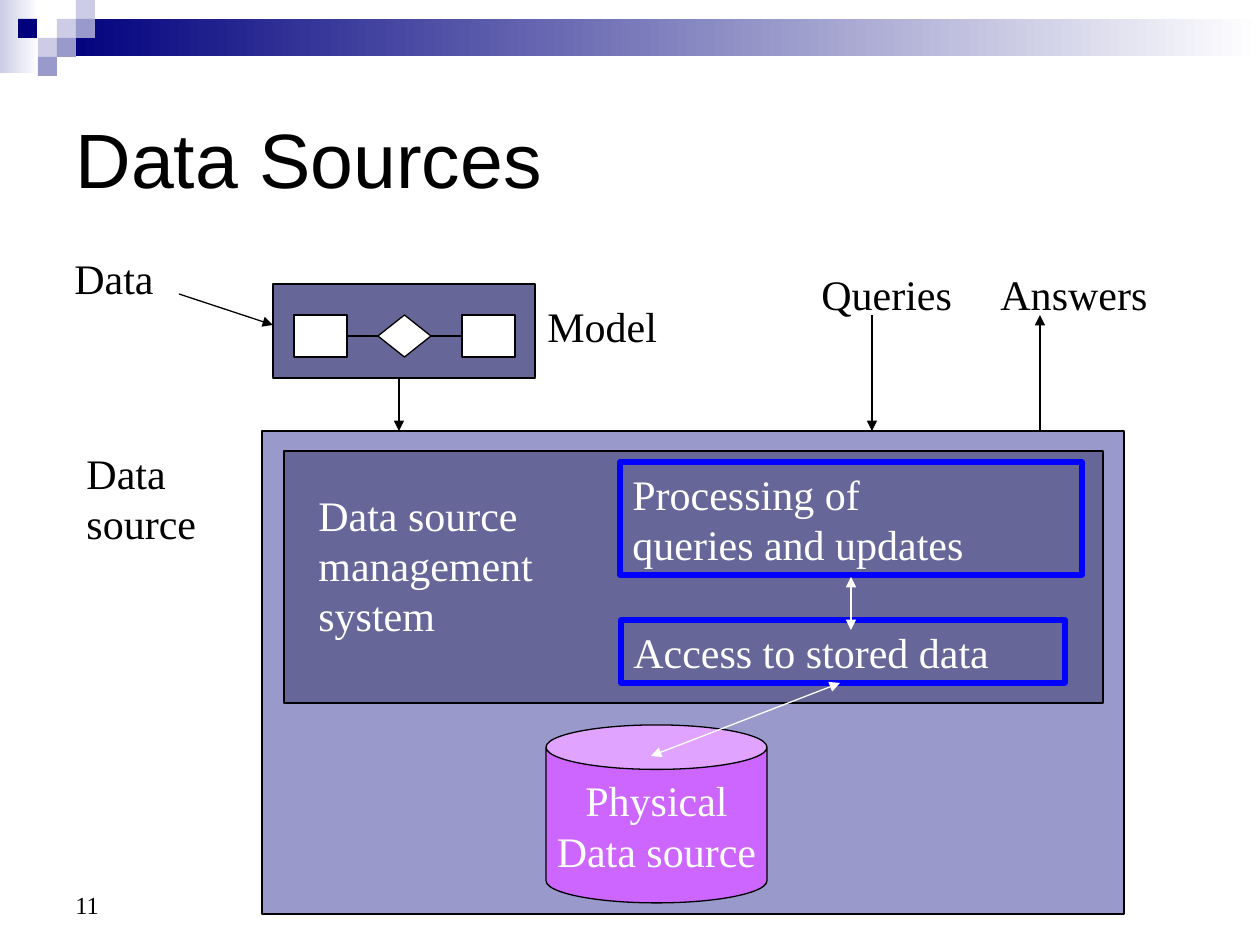
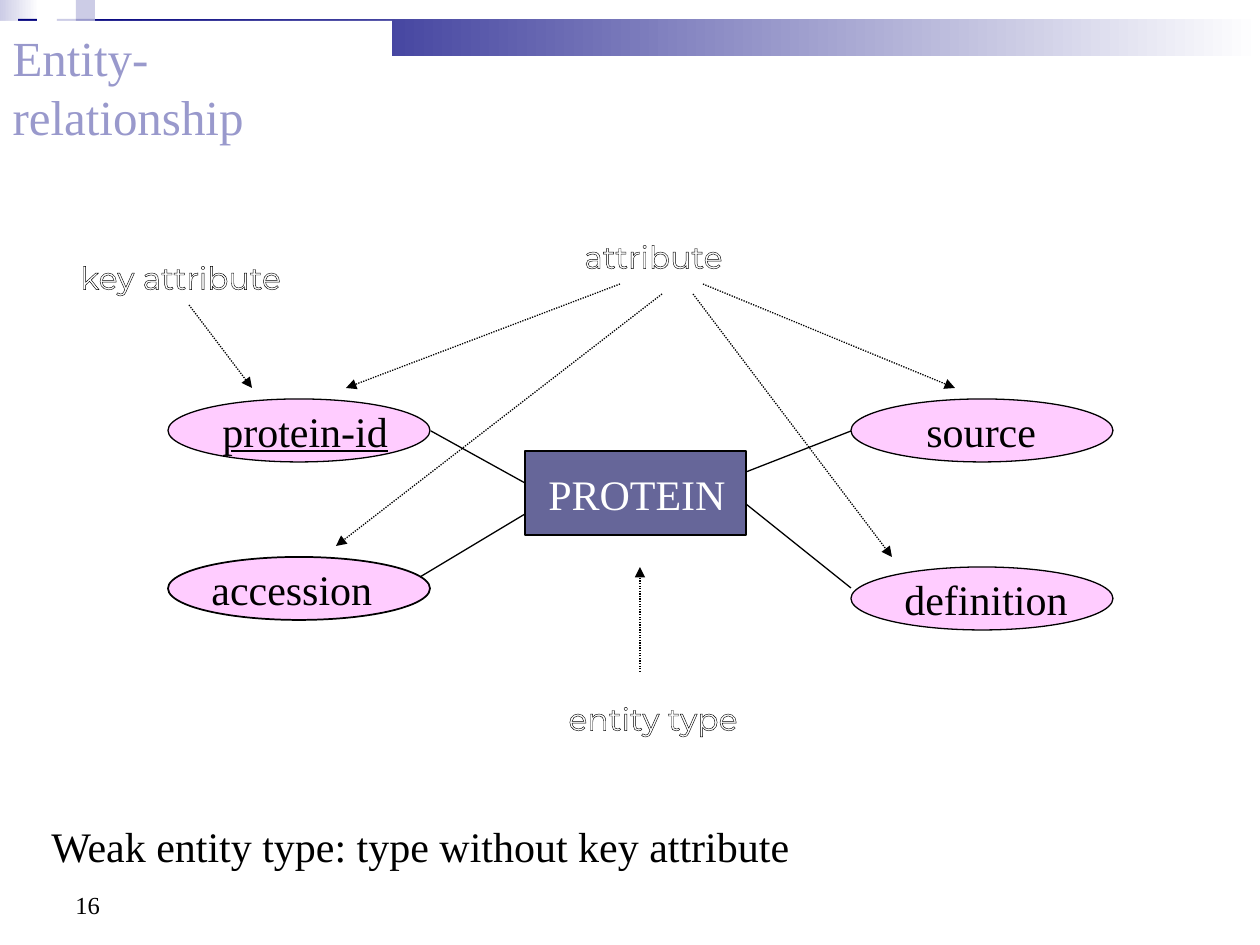
from pptx import Presentation
from pptx.dml.color import RGBColor
from pptx.enum.dml import MSO_LINE
from pptx.enum.shapes import MSO_CONNECTOR, MSO_SHAPE
from pptx.enum.text import MSO_ANCHOR, MSO_AUTO_SIZE, PP_ALIGN
from pptx.oxml.ns import qn
from pptx.util import Pt
from lxml.etree import SubElement

PX = 914400 / 126
WIDTH, HEIGHT = 1260, 945

BLACK = RGBColor(0x00, 0x00, 0x00)
WHITE = RGBColor(0xFF, 0xFF, 0xFF)
NAVY = RGBColor(0x00, 0x00, 0x7D)
PALE = RGBColor(0xCC, 0xCC, 0xE6)
LAVENDER = RGBColor(0x99, 0x99, 0xCC)
SLATE = RGBColor(0x66, 0x66, 0x99)
BLUE = RGBColor(0x00, 0x00, 0xFF)
VIOLET = RGBColor(0xCC, 0x66, 0xFF)
PINK = RGBColor(0xFF, 0xCC, 0xFF)

SERIF, SANS, DISPLAY = "Times New Roman", "Arial", "Montserrat"

SQUARE = 19
FADES = [((0, 0, 39, 73), PALE), ((57, 19, 1203, 37), NAVY)]
UPPER_SQUARES = [(57, 1, PALE), (76, 0, PALE), (76, 1, LAVENDER), (18, 1, NAVY)]
LOWER_SQUARES = [(38, 2, PALE), (57, 2, LAVENDER), (38, 3, LAVENDER)]
NUMBER_BOX = (63, 861, 294, 65)

SOURCE_LABELS = [
    ("Data", (62, 246, 105, 63)),
    ("Model", (535, 294, 135, 63)),
    ("Queries", (809, 262, 155, 63)),
    ("Answers", (988, 262, 171, 63)),
    ("Data\nsource", (74, 441, 135, 113)),
]
DATA_SOURCE = (262, 431, 862, 483)
PHYSICAL_SOURCE = ("Physical\nData source", (546, 725, 221, 178))
MANAGEMENT = (284, 451, 819, 252)
MANAGEMENT_LABEL = ("Data source\nmanagement\nsystem", (306, 483, 239, 164))
PROCESSES = [
    ("Processing of\nqueries and updates", (620, 462, 462, 113)),
    ("Access to stored data", (621, 620, 444, 63)),
]
MODEL = (273, 284, 262, 94)
MODEL_PARTS = [(462, MSO_SHAPE.RECTANGLE), (294, MSO_SHAPE.RECTANGLE),
               (378, MSO_SHAPE.FLOWCHART_DECISION)]
MODEL_LINKS = [(346, 336, 378, 336), (431, 336, 462, 336)]
ACCESS_ARROWS = [(851, 577, 851, 630), (840, 683, 651, 756)]
FLOW_ARROWS = [
    (872, 315, 872, 431),
    (1040, 431, 1040, 315),
    (179, 294, 273, 325),
    (399, 378, 399, 431),
]

ATTRIBUTES = [
    ("protein-id", (168, 399), 210, 190, 0.75),
    ("accession", (168, 557), 199, 185, 1),
    ("definition", (851, 567), 892, 188, 0.75),
    ("source", (851, 399), 914, 135, 0.75),
]
OVAL = (262, 63)
ENTITY = (525, 451, 221, 84)
ENTITY_LABEL = ("PROTEIN", (536, 462, 203, 63))
ATTRIBUTE_LINKS = [
    (525, 483, 431, 431),
    (525, 514, 420, 577),
    (746, 472, 851, 431),
    (746, 504, 851, 588),
]
KEY_UNDERLINE = (231, 451, 388, 451)
NOTATION = [
    ("key attribute", (68, 252, 226, 43)),
    ("entity type", (556, 693, 195, 43)),
    ("attribute", (572, 231, 164, 43)),
]
NOTATION_ARROWS = [
    (620, 284, 346, 388),
    (703, 284, 955, 388),
    (662, 294, 336, 546),
    (693, 294, 892, 557),
    (189, 305, 252, 388),
    (640, 672, 640, 567),
]
WEAK_ENTITY = ("Weak entity type: type without key attribute", (39, 814, 767, 63))


def emu(lengths):
    return [round(length * PX) for length in lengths]


def write(shape, text, size=24, color=BLACK, font=SERIF, align=PP_ALIGN.LEFT,
          anchor=MSO_ANCHOR.TOP, wrap=False, outline=None):
    frame = shape.text_frame
    frame.text = text
    frame.word_wrap = wrap
    frame.vertical_anchor = anchor
    frame.auto_size = MSO_AUTO_SIZE.NONE
    for paragraph in frame.paragraphs:
        paragraph.alignment = align
        for run in paragraph.runs:
            run.font.size = Pt(size)
            run.font.name = font
            run.font.color.rgb = color
            if outline is not None:
                properties = run.font._element
                stroke = SubElement(properties, qn("a:ln"), w=str(Pt(0.75)))
                fill = SubElement(stroke, qn("a:solidFill"))
                SubElement(fill, qn("a:srgbClr"), val=str(outline))
                properties.insert(0, stroke)


def label(slide, text, box, **style):
    write(slide.shapes.add_textbox(*emu(box)), text, **style)


def draw(slide, box, fill=None, line=BLACK, width=0.75, kind=MSO_SHAPE.RECTANGLE):
    shape = slide.shapes.add_shape(kind, *emu(box))
    shape.shadow.inherit = False
    if fill is None:
        shape.fill.background()
    else:
        shape.fill.solid()
        shape.fill.fore_color.rgb = fill
    if line is None:
        shape.line.fill.background()
    else:
        shape.line.color.rgb = line
        shape.line.width = Pt(width)
    return shape


def connect(slide, ends, color=BLACK, heads=(), dash=None):
    link = slide.shapes.add_connector(MSO_CONNECTOR.STRAIGHT, *emu(ends))
    link.line.color.rgb = color
    link.line.width = Pt(0.75)
    if dash is not None:
        link.line.dash_style = dash
    stroke = link.line._get_or_add_ln()
    for head in heads:
        SubElement(stroke, qn(f"a:{head}"), type="triangle")
    SubElement(link._element.spPr, qn("a:effectLst"))


def add_slide(deck, number, squares):
    slide = deck.slides.add_slide(deck.slide_layouts[5])
    for box, start in FADES:
        fade = draw(slide, box, line=None)
        fade.fill.gradient()
        fade.fill.gradient_angle = 0
        for stop, color in zip(fade.fill.gradient_stops, (start, WHITE)):
            stop.color.rgb = color
    for left, row, color in squares:
        draw(slide, (left, row * SQUARE, SQUARE, SQUARE), color, None)
    label(slide, number, NUMBER_BOX, size=14, anchor=MSO_ANCHOR.BOTTOM, wrap=True)
    return slide


def place_title(slide, text, box, **style):
    title = slide.shapes.title
    title.left, title.top, title.width, title.height = emu(box)
    write(title, text, **style)
    slide.shapes._spTree.append(title._element)
    return title


def build_data_sources(deck):
    slide = add_slide(deck, "11", UPPER_SQUARES + LOWER_SQUARES)
    place_title(slide, "Data Sources", (63, 63, 1134, 189), size=44, font=SANS,
                anchor=MSO_ANCHOR.MIDDLE, wrap=True)
    for text, box in SOURCE_LABELS:
        label(slide, text, box)

    draw(slide, DATA_SOURCE, LAVENDER)
    text, box = PHYSICAL_SOURCE
    write(draw(slide, box, VIOLET, kind=MSO_SHAPE.CAN), text, color=WHITE,
          align=PP_ALIGN.CENTER, anchor=MSO_ANCHOR.MIDDLE)
    draw(slide, MANAGEMENT, SLATE)
    label(slide, *MANAGEMENT_LABEL, color=WHITE)
    for text, box in PROCESSES:
        write(draw(slide, box, line=BLUE, width=3), text, color=WHITE, wrap=True)
    for ends in ACCESS_ARROWS:
        connect(slide, ends, WHITE, ("headEnd", "tailEnd"))

    draw(slide, MODEL, SLATE)
    for left, kind in MODEL_PARTS:
        draw(slide, (left, 315, 53, 42), WHITE, kind=kind)
    for ends in MODEL_LINKS:
        connect(slide, ends)
    for ends in FLOW_ARROWS:
        connect(slide, ends, heads=("tailEnd",))


def build_entity_relationship(deck):
    slide = add_slide(deck, "16", UPPER_SQUARES)
    for text, (left, top), text_left, text_width, width in ATTRIBUTES:
        draw(slide, (left, top, *OVAL), PINK, width=width, kind=MSO_SHAPE.OVAL)
        label(slide, text, (text_left, top, text_width, OVAL[1]))
    draw(slide, ENTITY, SLATE)
    label(slide, *ENTITY_LABEL, color=WHITE)
    for ends in ATTRIBUTE_LINKS + [KEY_UNDERLINE]:
        connect(slide, ends)

    title = place_title(slide, "Entity-relationship", (0, 21, 392, 72),
                        size=28, color=LAVENDER)
    title.fill.solid()
    title.fill.fore_color.rgb = WHITE

    for text, box in NOTATION:
        label(slide, text, box, size=18, color=WHITE, font=DISPLAY, outline=BLACK)
    for ends in NOTATION_ARROWS:
        connect(slide, ends, heads=("tailEnd",), dash=MSO_LINE.ROUND_DOT)
    label(slide, *WEAK_ENTITY)


def main():
    deck = Presentation()
    deck.slide_width, deck.slide_height = emu((WIDTH, HEIGHT))
    build_data_sources(deck)
    build_entity_relationship(deck)
    deck.save("out.pptx")


if __name__ == "__main__":
    main()
